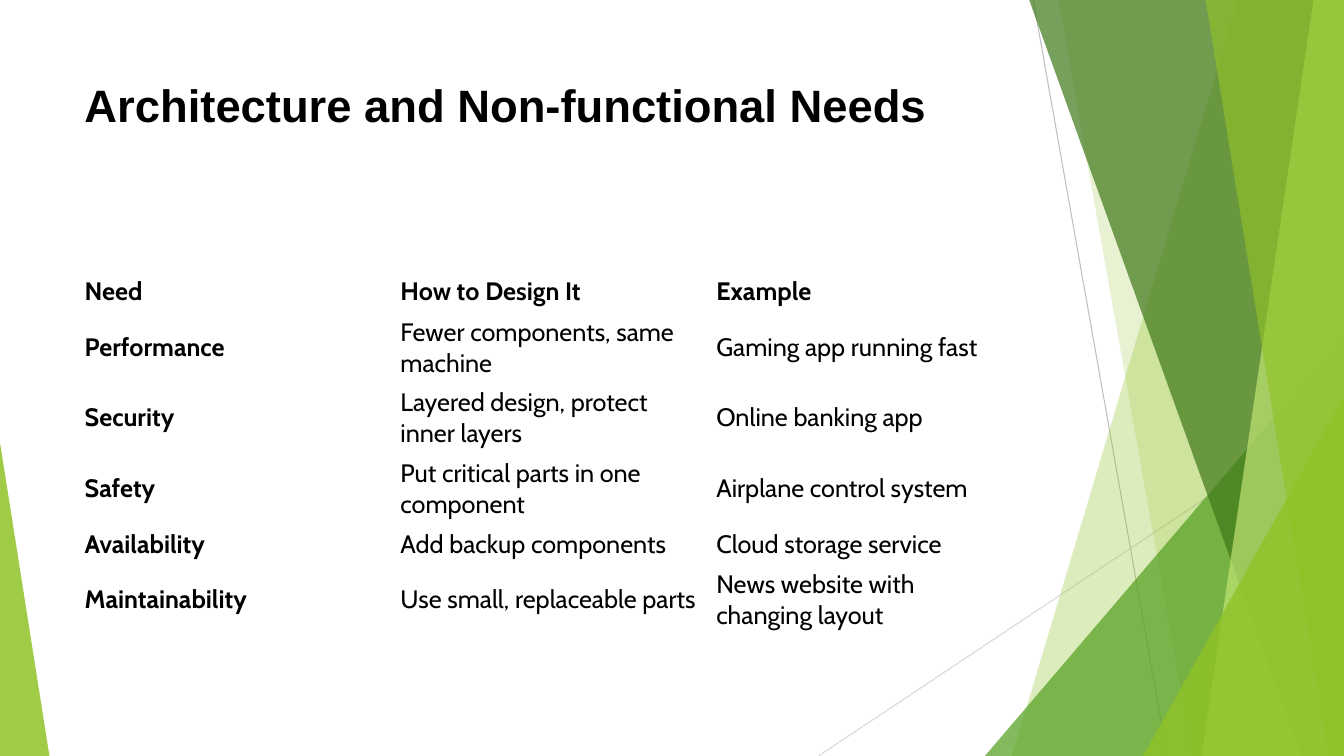
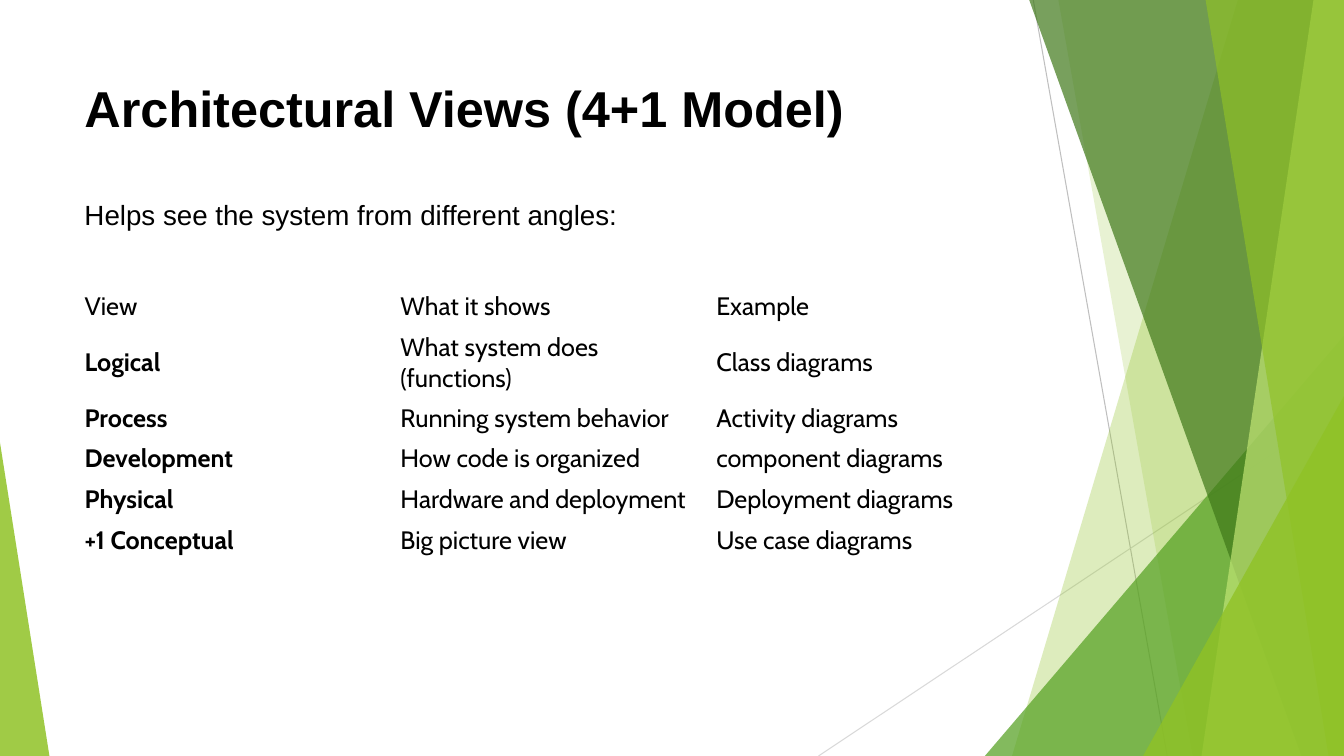
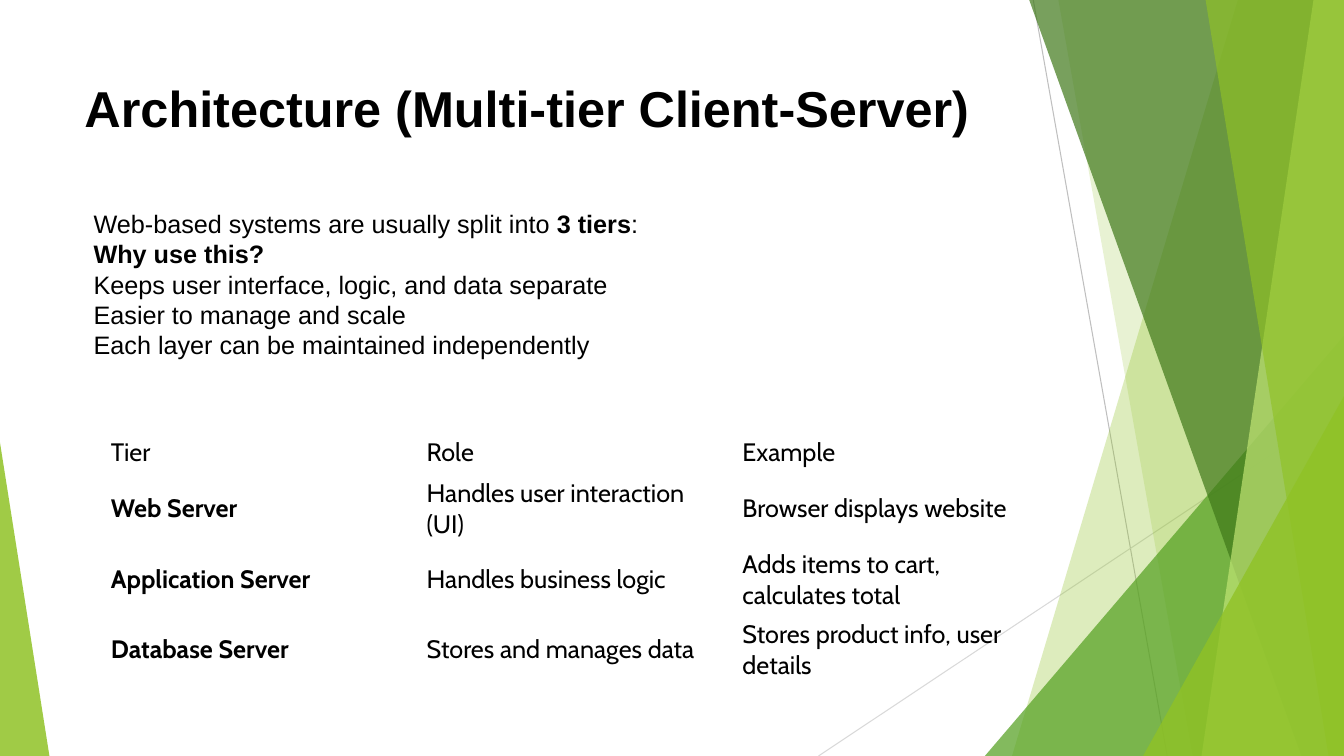
from dataclasses import dataclass
from typing import Any

from lxml.etree import SubElement
from pptx import Presentation
from pptx.dml.color import RGBColor
from pptx.enum.shapes import MSO_CONNECTOR as Connector, MSO_SHAPE as Preset
from pptx.enum.text import MSO_ANCHOR as Anchor
from pptx.oxml.ns import qn
from pptx.util import Emu, Inches, Pt

WIDTH, HEIGHT = Inches(13.33), Inches(7.5)
COLOURS = {
    "text": "000000",
    "lime": "90C226",
    "green": "54A021",
    "forest": "3F7819",
    "pale": "C0E474",
    "grey": "BFBFBF",
    "light grey": "D9D9D9",
}
PLAIN_TABLE = "{2D5ABB26-0587-4C30-8999-92F81FD0307C}"
ROW_HEIGHT = 5.4
TITLE_LEFT, CONTENT_WIDTH = 5.55, 70.5


# Lengths below are percentages of the slide's width or height
def across(share: float) -> Emu:
    return Emu(round(WIDTH * share / 100))


def down(share: float) -> Emu:
    return Emu(round(HEIGHT * share / 100))


@dataclass(frozen=True)
class Ray:
    start: tuple[float, float]
    end: tuple[float, float]
    colour: str


@dataclass(frozen=True)
class Panel:
    """Full-height band from a slanted left edge to the slide's right edge."""
    top_x: float
    bottom_x: float
    colour: str
    opacity: int


@dataclass(frozen=True)
class Wedge:
    """Triangle standing on the bottom edge; peak 0 is left, 1 is right."""
    left: float
    right: float
    top: float
    peak: int
    colour: str
    opacity: int


@dataclass(frozen=True)
class Words:
    text: str
    size: float = 18
    bold: bool = False
    font: str = "Arial"


@dataclass(frozen=True)
class Line:
    words: tuple[Words, ...]
    format: dict[str, Any]


@dataclass(frozen=True)
class Grid:
    left: float
    top: float
    rows: tuple[tuple[str, str, str], ...]
    bold_header: bool = False


@dataclass(frozen=True)
class Topic:
    title: tuple[Line, ...]
    grid: Grid
    reasons: tuple[Line, ...] = ()


RAYS = (
    Ray((76.88, 0), (86.85, 100), "grey"),
    Ray((100, 53.73), (60.9, 100), "light grey"),
)
FACETS = (
    Panel(92.1, 75.3, "lime", 30),
    Panel(78.75, 88.73, "lime", 20),
    Wedge(73.28, 100, 44.4, 1, "green", 72),
    Panel(76.58, 96.83, "forest", 70),
    Panel(97.73, 89.4, "pale", 70),
    Panel(89.7, 98.85, "lime", 65),
    Wedge(85.05, 100, 52.4, 1, "lime", 80),
    Wedge(0, 3.68, 58.53, 0, "lime", 85),
)


def heading(text: str, size: float = 36) -> Line:
    return Line((Words(text, size, True),), {})


def reason(*words: Words) -> Line:
    return Line(words, {"line_spacing": Pt(21.6)})


TOPICS = (
    Topic(
        (heading("Architecture and Non-functional Needs", 32.4),),
        Grid(TITLE_LEFT, 35.87, (
            ("Need", "How to Design It", "Example"),
            ("Performance", "Fewer components, same machine", "Gaming app running fast"),
            ("Security", "Layered design, protect inner layers", "Online banking app"),
            ("Safety", "Put critical parts in one component", "Airplane control system"),
            ("Availability", "Add backup components", "Cloud storage service"),
            ("Maintainability", "Use small, replaceable parts",
             "News website with changing layout"),
        ), bold_header=True),
    ),
    Topic(
        (
            heading("Architectural Views (4+1 Model)"),
            Line((Words("Helps see the system from different angles:", 19.8),),
                 {"space_before": Pt(43)}),
        ),
        Grid(TITLE_LEFT, 37.87, (
            ("View", "What it shows", "Example"),
            ("Logical", "What system does (functions)", "Class diagrams"),
            ("Process", "Running system behavior", "Activity diagrams"),
            ("Development", "How code is organized", "component diagrams"),
            ("Physical", "Hardware and deployment", "Deployment diagrams"),
            ("+1 Conceptual", "Big picture view", "Use case diagrams"),
        )),
    ),
    Topic(
        (heading("Architecture (Multi-tier Client-Server)"),),
        Grid(7.5, 57.2, (
            ("Tier", "Role", "Example"),
            ("Web Server", "Handles user interaction (UI)", "Browser displays website"),
            ("Application Server", "Handles business logic",
             "Adds items to cart, calculates total"),
            ("Database Server", "Stores and manages data",
             "Stores product info, user details"),
        )),
        (
            reason(Words("Web-based systems are usually split into "),
                   Words("3 tiers", bold=True), Words(":")),
            reason(Words("Why use this?", bold=True)),
            reason(Words("Keeps user interface, logic, and data separate")),
            reason(Words("Easier to manage and scale")),
            reason(Words("Each layer can be maintained independently")),
        ),
    ),
)


def colour(name: str) -> RGBColor:
    return RGBColor.from_string(COLOURS[name])


def apply(target: Any, values: dict[str, Any]) -> None:
    for attribute, value in values.items():
        setattr(target, attribute, value)


# Backdrop
def draw_ray(slide: Any, ray: Ray) -> None:
    (x1, y1), (x2, y2) = ray.start, ray.end
    stroke = slide.shapes.add_connector(
        Connector.STRAIGHT, across(x1), down(y1), across(x2), down(y2))
    stroke.line.color.rgb = colour(ray.colour)
    stroke.line.width = Pt(0.75)
    SubElement(stroke._element.spPr, qn("a:effectLst"))


def draw_facet(slide: Any, facet: Panel | Wedge) -> None:
    if isinstance(facet, Panel):
        outline = slide.shapes.build_freeform(across(facet.top_x), 0)
        outline.add_line_segments(
            [(WIDTH, 0), (WIDTH, HEIGHT), (across(facet.bottom_x), HEIGHT)])
        glass = outline.convert_to_shape()
    else:
        glass = slide.shapes.add_shape(
            Preset.ISOSCELES_TRIANGLE, across(facet.left), down(facet.top),
            across(facet.right - facet.left), down(100 - facet.top))
        glass.adjustments[0] = facet.peak
    glass.shadow.inherit = False
    glass.line.fill.background()
    glass.fill.solid()
    glass.fill.fore_color.rgb = colour(facet.colour)
    tint = glass._element.spPr.find(qn("a:solidFill"))[0]
    SubElement(tint, qn("a:alpha"), val=str(facet.opacity * 1000))


# Text
def write(paragraph: Any, words: Words) -> None:
    run = paragraph.add_run()
    run.text = words.text
    apply(run.font, {"name": words.font, "size": Pt(words.size), "bold": words.bold})
    run.font.color.rgb = colour("text")


def draw_text(slide: Any, left: float, top: float, width: float, height: float,
              lines: tuple[Line, ...]) -> None:
    frame = slide.shapes.add_textbox(
        across(left), down(top), across(width), down(height)).text_frame
    apply(frame, {"word_wrap": True, "vertical_anchor": Anchor.TOP})
    for index, line in enumerate(lines):
        paragraph = frame.add_paragraph() if index else frame.paragraphs[0]
        apply(paragraph, line.format)
        for words in line.words:
            write(paragraph, words)


# Table without fills or borders
def draw_grid(slide: Any, grid: Grid) -> None:
    count = len(grid.rows)
    table = slide.shapes.add_table(
        count, len(grid.rows[0]), across(grid.left), down(grid.top),
        across(CONTENT_WIDTH), down(ROW_HEIGHT * count)).table
    apply(table, {"first_row": False, "horz_banding": False})
    table._tbl.tblPr.find(qn("a:tableStyleId")).text = PLAIN_TABLE
    for r, row in enumerate(grid.rows):
        for c, text in enumerate(row):
            cell = table.cell(r, c)
            cell.fill.background()
            cell.vertical_anchor = Anchor.MIDDLE
            bold = grid.bold_header if r == 0 else c == 0
            write(cell.text_frame.paragraphs[0], Words(text, bold=bold, font="Cabin"))


def draw_topic(slide: Any, topic: Topic) -> None:
    for ray in RAYS:
        draw_ray(slide, ray)
    for facet in FACETS:
        draw_facet(slide, facet)
    draw_text(slide, TITLE_LEFT, 9.6, CONTENT_WIDTH, 19.2, topic.title)
    draw_grid(slide, topic.grid)
    if topic.reasons:
        draw_text(slide, 6.23, 26.93, 68.78, 25.6, topic.reasons)


def main() -> None:
    deck = Presentation()
    apply(deck, {"slide_width": WIDTH, "slide_height": HEIGHT})
    blank = deck.slide_layouts[6]
    for topic in TOPICS:
        draw_topic(deck.slides.add_slide(blank), topic)
    deck.save("out.pptx")


if __name__ == "__main__":
    main()
